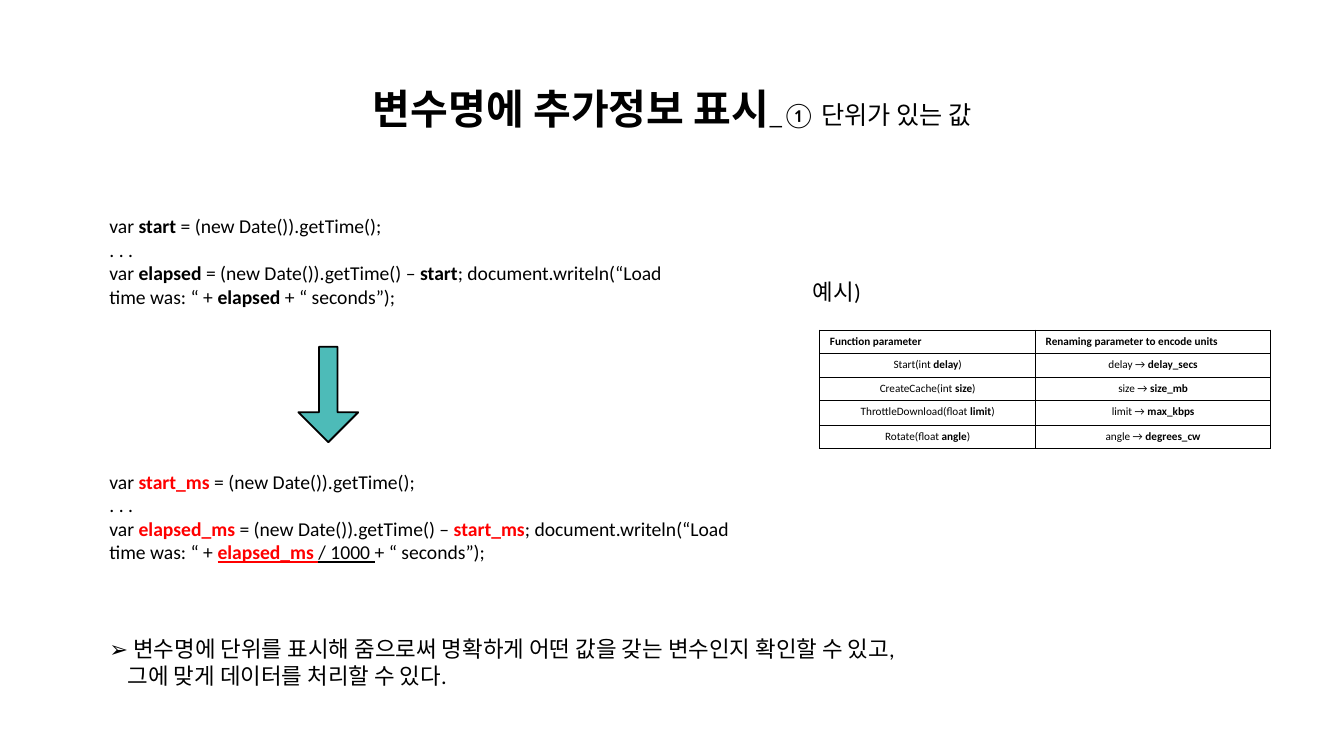
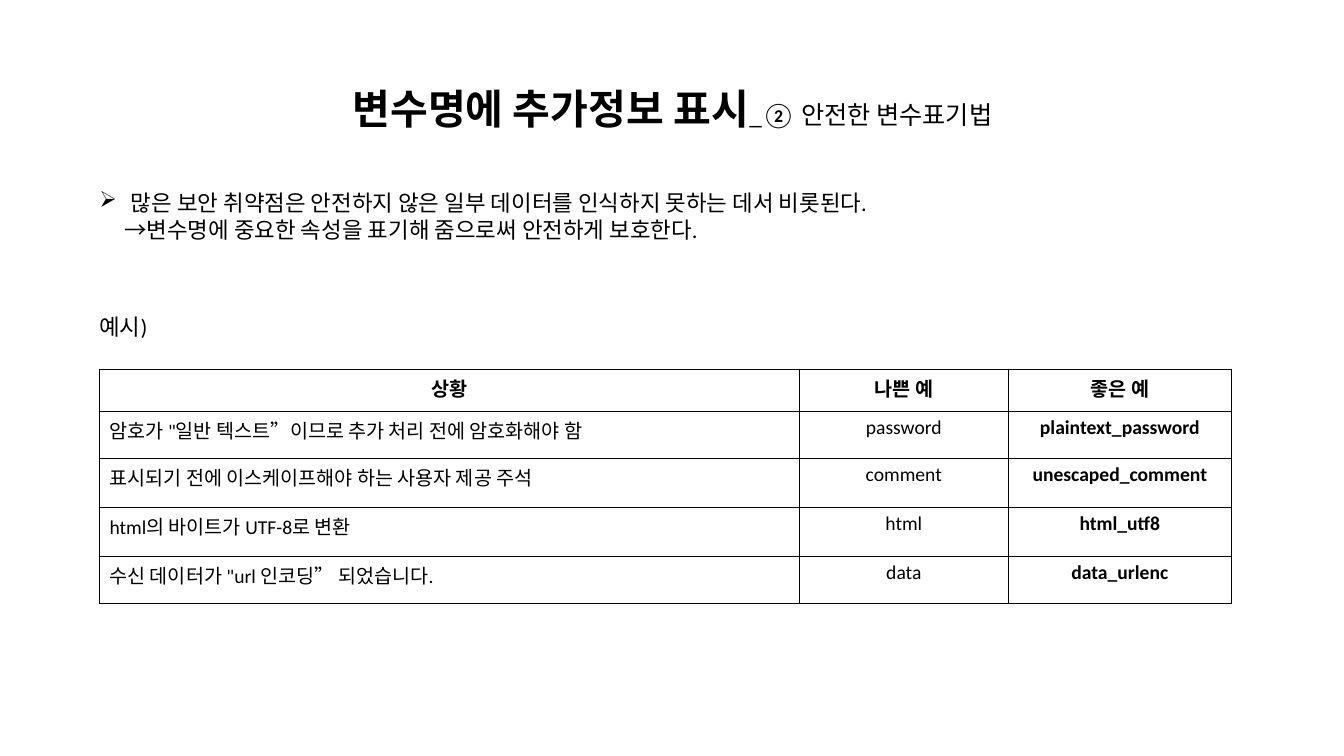
"""Build two slides on adding extra information to variable names."""
import pptx
import pptx.util
import pptx.dml.color
import pptx.enum.shapes
import pptx.enum.text
import pptx.oxml
import pptx.oxml.ns

Inches = pptx.util.Inches
Pt = pptx.util.Pt
ALIGN = pptx.enum.text.PP_ALIGN
COLORS = {"ink": "000000", "mark": "FF0000", "arrow": "4DBBB8"}
FONT = "Calibri"
HEAD = "변수명에 추가정보 표시"
LABEL = [["예시)"]]

BEFORE = [
    ["var ", ("start ", "b"), "= (new Date()).getTime();"],
    [". . ."],
    ["var ", ("elapsed", "b"), " = (new Date()).getTime() – ", ("start", "b"),
     "; document.writeln(“Load time was: “ + ", ("elapsed", "b"),
     " + “ seconds”);"],
]
AFTER = [
    ["var ", ("start_ms ", "br"), "= (new Date()).getTime();"],
    [". . ."],
    ["var ", ("elapsed_ms ", "br"), "= (new Date()).getTime() – ",
     ("start_ms", "br"), "; document.writeln(“Load time was: “ + ",
     ("elapsed_ms ", "bru"), ("/ 1000 ", "u"), "+ “ seconds”);"],
]
UNIT_NOTE = [
    ["➢ 변수명에 단위를 표시해 줌으로써 명확하게 어떤 값을 갖는 변수인지 확인할 수 있고,"],
    ["그에 맞게 데이터를 처리할 수 있다."],
]
SAFE_NOTE = [
    ["많은 보안 취약점은 안전하지 않은 일부 데이터를 인식하지 못하는 데서 비롯된다."],
    ["→변수명에 중요한 속성을 표기해 줌으로써 안전하게 보호한다."],
]
PARAMS = [
    ("Start", "int", "delay", "delay_secs"),
    ("CreateCache", "int", "size", "size_mb"),
    ("ThrottleDownload", "float", "limit", "max_kbps"),
    ("Rotate", "float", "angle", "degrees_cw"),
]
UNIT_HEAD = ["Function parameter", "Renaming parameter to encode units"]
SAFE_HEAD = ["상황", "나쁜 예", "좋은 예"]
CASES = [
    ('암호가 "일반 텍스트”이므로 추가 처리 전에 암호화해야 함', "password", "plaintext_password"),
    ("표시되기 전에 이스케이프해야 하는 사용자 제공 주석", "comment", "unescaped_comment"),
    ("html의 바이트가 UTF-8로 변환", "html", "html_utf8"),
    ('수신 데이터가 "url 인코딩” 되었습니다.', "data", "data_urlenc"),
]


def rgb(name):
    return pptx.dml.color.RGBColor.from_string(COLORS[name])


def style(run, size, marks=""):
    font = run.font
    font.name, font.size = FONT, Pt(size)
    font.bold = "b" in marks
    font.underline = "u" in marks
    font.color.rgb = rgb("mark" if "r" in marks else "ink")


def write(para, parts, size, align=ALIGN.LEFT):
    para.alignment = align
    for part in parts:
        text, marks = (part, "") if isinstance(part, str) else part
        run = para.add_run()
        run.text = text
        style(run, size, marks)


def add_text(shapes, box, lines, size):
    frame = shapes.add_textbox(*map(Inches, box)).text_frame
    frame.word_wrap = True
    frame.auto_size = pptx.enum.text.MSO_AUTO_SIZE.SHAPE_TO_FIT_TEXT
    for i, parts in enumerate(lines):
        para = frame.add_paragraph() if i else frame.paragraphs[0]
        write(para, parts, size)
    return frame.paragraphs


def indent(para, left, first=0, bullet=None):
    props = para._p.get_or_add_pPr()
    props.set("marL", str(Inches(left)))
    props.set("indent", str(Inches(first)))
    if bullet:
        mark = pptx.oxml.parse_xml(
            f'<a:buChar {pptx.oxml.ns.nsdecls("a")} char="{bullet}"/>')
        props.append(mark)


def add_border(cell):
    props = cell._tc.get_or_add_tcPr()
    for side in "LRTB":
        props.append(pptx.oxml.parse_xml(
            f'<a:ln{side} {pptx.oxml.ns.nsdecls("a")} w="{Pt(1)}"><a:solidFill>'
            f'<a:srgbClr val="{COLORS["ink"]}"/></a:solidFill></a:ln{side}>'))


def add_table(slide, spot, cols, rows, cells, aligns, size):
    box = (*spot, sum(cols), sum(rows))
    table = slide.shapes.add_table(
        len(rows), len(cols), *map(Inches, box)).table
    table.first_row = table.horz_banding = False
    for col, width in zip(table.columns, cols):
        col.width = Inches(width)
    for row, height in zip(table.rows, rows):
        row.height = Inches(height)
    for r, line in enumerate(cells):
        for c, parts in enumerate(line):
            cell = table.cell(r, c)
            cell.margin_left = cell.margin_right = Inches(0.15)
            cell.margin_top = cell.margin_bottom = Inches(0.07)
            add_border(cell)
            cell.fill.background()
            align = aligns[min(r, 1)][c]
            write(cell.text_frame.paragraphs[0], parts, size, align)


def add_slide(deck, topic):
    slide = deck.slides.add_slide(deck.slide_layouts[5])
    title = slide.shapes.title
    title.left, title.top = Inches(1.38), Inches(0.52)
    title.width, title.height = Inches(17.25), Inches(2.17)
    frame = title.text_frame
    frame.auto_size = pptx.enum.text.MSO_AUTO_SIZE.NONE
    frame.vertical_anchor = pptx.enum.text.MSO_ANCHOR.MIDDLE
    para = frame.paragraphs[0]
    write(para, [(HEAD, "b")], 44)
    write(para, [topic], 27, ALIGN.CENTER)
    return slide


def add_arrow(shapes):
    kind = pptx.enum.shapes.MSO_SHAPE.DOWN_ARROW
    arrow = shapes.add_shape(kind, *map(Inches, (4.44, 5.16, 0.89, 1.42)))
    arrow.adjustments[0], arrow.adjustments[1] = 0.31, 0.5
    arrow.shadow.inherit = False
    arrow.fill.solid()
    arrow.fill.fore_color.rgb = rgb("arrow")
    arrow.line.color.rgb = rgb("ink")
    arrow.line.width = Pt(2)


def unit_slide(deck):
    slide = add_slide(deck, "_① 단위가 있는 값")
    note = add_text(slide.shapes, (1.53, 9.4, 15.03, 0.91), UNIT_NOTE, 24)
    indent(note[1], 0.27)
    group = slide.shapes.add_group_shape().shapes
    add_text(group, (1.53, 3.14, 8.47, 1.51), BEFORE, 21)
    add_text(group, (1.53, 6.94, 9.88, 1.51), AFTER, 21)
    add_arrow(group)
    add_text(slide.shapes, (12, 4.09, 1.26, 0.5), LABEL, 24)
    cells = [[[(head, "b")] for head in UNIT_HEAD]]
    for func, kind, old, new in PARAMS:
        cells.append([[f"{func}({kind} ", (old, "b"), ")"],
                      [f"{old} → ", (new, "b")]])
    aligns = [[ALIGN.LEFT] * 2, [ALIGN.CENTER] * 2]
    add_table(slide, (12.2, 4.91), (3.21, 3.5),
              (0.35, 0.35, 0.35, 0.37, 0.35), cells, aligns, 12)


def safe_slide(deck):
    slide = add_slide(deck, "_② 안전한 변수표기법")
    note = add_text(slide.shapes, (1.38, 2.76, 14.61, 0.91), SAFE_NOTE, 24)
    indent(note[0], 0.47, -0.47, "➢")
    indent(note[1], 0.37)
    cells = [[[(head, "b")] for head in SAFE_HEAD]]
    cells += [[[case], [bad], [(good, "b")]] for case, bad, good in CASES]
    aligns = [[ALIGN.CENTER] * 3, [ALIGN.LEFT, ALIGN.CENTER, ALIGN.CENTER]]
    add_table(slide, (1.48, 5.49), (10.41, 3.12, 3.31),
              (0.63, 0.7, 0.73, 0.73, 0.7), cells, aligns, 21)
    add_text(slide.shapes, (1.38, 4.61, 1.26, 0.5), LABEL, 24)


def main():
    deck = pptx.Presentation()
    deck.slide_width, deck.slide_height = Inches(20), Inches(11.25)
    unit_slide(deck)
    safe_slide(deck)
    deck.save("out.pptx")


if __name__ == "__main__":
    main()
